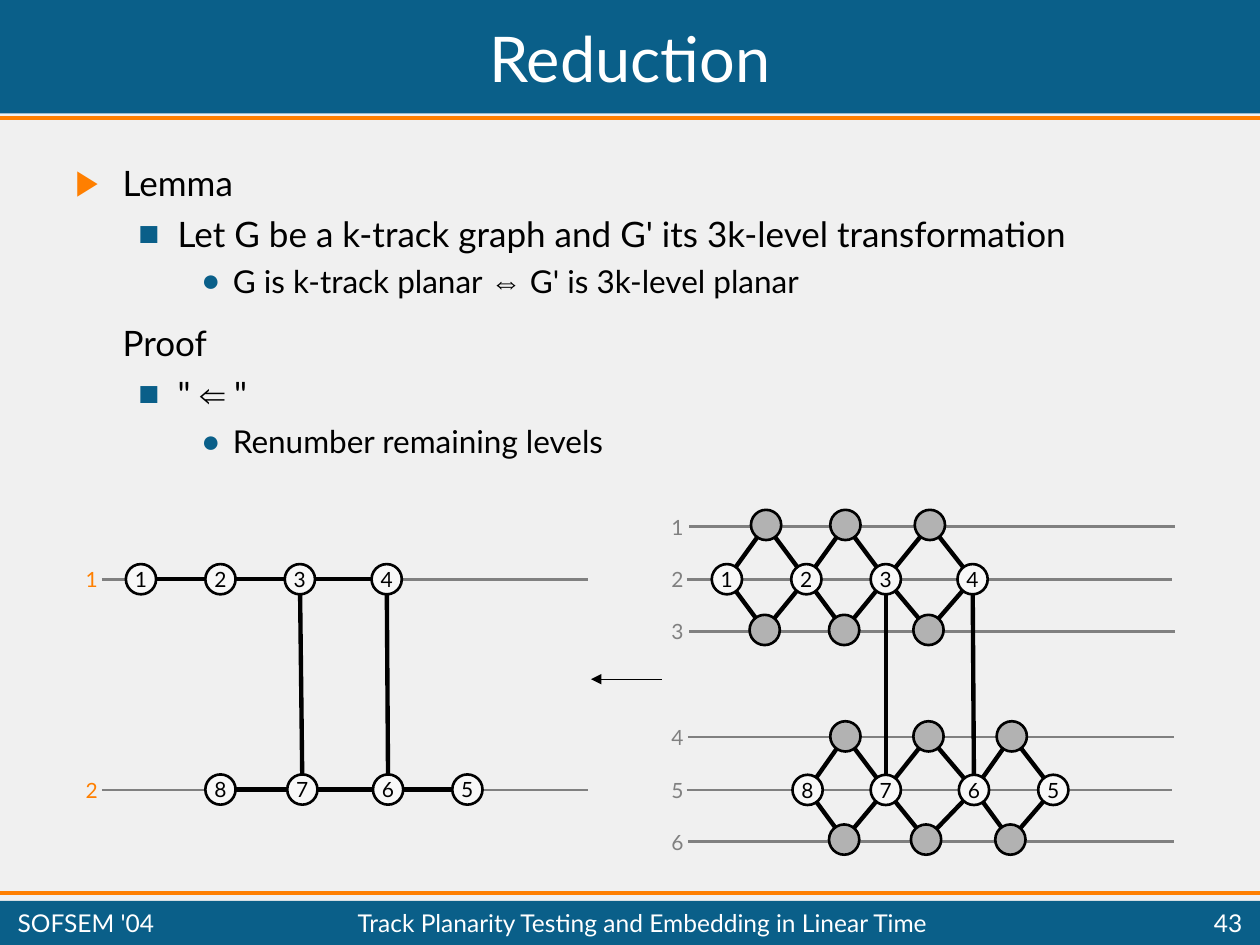
from typing import Dict, List, NamedTuple, Optional, Tuple

from lxml import etree
from pptx import Presentation
from pptx.dml.color import RGBColor
from pptx.enum import shapes, text
from pptx.oxml.ns import qn
from pptx.util import Pt

BLUE = RGBColor(0x0A, 0x5F, 0x89)
ORANGE = RGBColor(0xFF, 0x7F, 0x00)
PAPER = RGBColor(0xF0, 0xF0, 0xF0)
WHITE = RGBColor(0xFF, 0xFF, 0xFF)
BLACK = RGBColor(0x00, 0x00, 0x00)
GRAY = RGBColor(0x80, 0x80, 0x80)
VERTEX = RGBColor(0xF8, 0xF8, 0xF8)
DUMMY = RGBColor(0xB2, 0xB2, 0xB2)

FONT = "Lato"
SYMBOLS = "⇔⇐"
SLIDE_W, SLIDE_H = 720, 540
NODE_D = 17.3
TRACK_LEN = 277.5
LABEL_W, LABEL_H = 21, 21.6


class Item(NamedTuple):
    pieces: Tuple[str, ...]
    level: int
    bullet: Optional[str] = None


class Level(NamedTuple):
    size: float
    margin: float
    hang: float
    before: float
    color: RGBColor


class Track(NamedTuple):
    label: str
    x: float
    y: float


class Row(NamedTuple):
    names: str
    xs: Tuple[float, ...]
    y: float
    dummy: bool = False


class Graph(NamedTuple):
    label_x: float
    label_color: RGBColor
    tracks: List[Track]
    rows: List[Row]
    paths: List[str]


LEVELS = [
    Level(20, 27, 27, 12.5, ORANGE),
    Level(20, 58.5, 22.5, 5, BLUE),
    Level(18, 90, 18, 4.5, BLUE),
]

ITEMS = [
    Item(("Lemma",), 0, "▶"),
    Item(("Let G be a k-track graph and G' its 3k-level transformation",), 1, "■"),
    Item(("G is k-track planar ", "⇔", " G' is 3k-level planar"), 2, "●"),
    Item(("Proof",), 0),
    Item(('" ', "⇐", ' "'), 1, "■"),
    Item(("Renumber remaining levels",), 2, "●"),
]

TRACK_GRAPH = Graph(
    41.8, ORANGE,
    [Track("1", 58.3, 331.2), Track("2", 58.3, 451.4)],
    [Row("1234", (80.6, 126, 171.4, 221), 331),
     Row("8765", (126, 172.8, 221.8, 267.1), 451.2)],
    ["1234", "8765", "37", "46"],
)

LEVEL_GRAPH = Graph(
    376.6, GRAY,
    [Track("1", 393.8, 301), Track("2", 392.4, 331.2), Track("3", 393.8, 360.7),
     Track("4", 393.1, 421.2), Track("5", 392.4, 451.4), Track("6", 393.1, 481)],
    [Row("abc", (437.8, 483.1, 531.4), 300, True),
     Row("1234", (415.4, 460.8, 506.2, 555.8), 331),
     Row("def", (437, 482.4, 530.6), 360, True),
     Row("ghi", (483.1, 530.6, 578.2), 420.8, True),
     Row("8765", (461.5, 506.2, 556.6, 601.9), 451.4),
     Row("jkl", (482.4, 529.2, 577.4), 479.8, True)],
    ["1a2b3c4", "1d2e3f4", "8g7h6i5", "8j7k6l5", "37", "46"],
)


def style(p, size: float, color: RGBColor, align=text.PP_ALIGN.LEFT) -> None:
    p.alignment = align
    for r in p.runs:
        r.font.name = "Arial" if r.text in SYMBOLS else FONT
        r.font.size = Pt(size)
        r.font.color.rgb = color


def add_text(s, content: str, x: float, y: float, w: float, h: float, size: float,
             color: RGBColor, align=text.PP_ALIGN.LEFT, wrap: bool = True) -> None:
    tf = s.shapes.add_textbox(Pt(x), Pt(y), Pt(w), Pt(h)).text_frame
    tf.word_wrap = wrap
    tf.vertical_anchor = text.MSO_ANCHOR.MIDDLE
    tf.text = content
    style(tf.paragraphs[0], size, color, align)


def add_line(s, x1: float, y1: float, x2: float, y2: float, color: RGBColor,
             width: float, arrow: bool = False) -> None:
    c = s.shapes.add_connector(shapes.MSO_CONNECTOR.STRAIGHT, Pt(x1), Pt(y1), Pt(x2), Pt(y2))
    c.line.color.rgb = color
    c.line.width = Pt(width)
    if arrow:
        etree.SubElement(c.line._get_or_add_ln(), qn("a:tailEnd"), type="triangle")
    etree.SubElement(c._element.spPr, qn("a:effectLst"))


def add_bar(s, y: float, h: float) -> None:
    sp = s.shapes.add_shape(shapes.MSO_SHAPE.RECTANGLE, Pt(0), Pt(y), Pt(SLIDE_W), Pt(h))
    sp.shadow.inherit = False
    sp.fill.solid()
    sp.fill.fore_color.rgb = BLUE
    sp.line.fill.background()


def add_node(s, name: str, x: float, y: float, dummy: bool) -> None:
    sp = s.shapes.add_shape(shapes.MSO_SHAPE.OVAL, Pt(x - NODE_D / 2), Pt(y - NODE_D / 2),
                            Pt(NODE_D), Pt(NODE_D))
    sp.shadow.inherit = False
    sp.fill.solid()
    sp.fill.fore_color.rgb = DUMMY if dummy else VERTEX
    sp.line.color.rgb = BLACK
    sp.line.width = Pt(1.5)
    if not dummy:
        tf = sp.text_frame
        tf.word_wrap = False
        tf.vertical_anchor = text.MSO_ANCHOR.MIDDLE
        tf.text = name
        style(tf.paragraphs[0], 12, BLACK, text.PP_ALIGN.CENTER)


def add_graph(s, g: Graph) -> None:
    for t in g.tracks:
        add_line(s, t.x, t.y, t.x + TRACK_LEN, t.y, GRAY, 1.5)
        add_text(s, t.label, g.label_x, t.y - LABEL_H / 2, LABEL_W, LABEL_H, 12,
                 g.label_color, wrap=False)
    at: Dict[str, Tuple[float, float]] = {
        name: (x, row.y) for row in g.rows for name, x in zip(row.names, row.xs)}
    for path in g.paths:
        for a, b in zip(path, path[1:]):
            add_line(s, *at[a], *at[b], BLACK, 2.5)
    for row in g.rows:
        for name in row.names:
            add_node(s, name, *at[name], row.dummy)


def add_body(s, items: List[Item]) -> None:
    tf = s.shapes.add_textbox(Pt(36), Pt(88.6), Pt(648), Pt(181.4)).text_frame
    tf.word_wrap = True
    for i, item in enumerate(items):
        lv = LEVELS[item.level]
        p = tf.paragraphs[0] if i == 0 else tf.add_paragraph()
        p.level = item.level
        p.space_before = Pt(lv.before)
        for piece in item.pieces:
            p.add_run().text = piece
        style(p, lv.size, BLACK)
        pPr = p._p.get_or_add_pPr()
        pPr.set("marL", str(Pt(lv.margin)))
        pPr.set("indent", str(Pt(-lv.hang) if item.bullet else 0))
        if item.bullet:
            clr = etree.SubElement(pPr, qn("a:buClr"))
            etree.SubElement(clr, qn("a:srgbClr"), val=str(lv.color))
            etree.SubElement(pPr, qn("a:buFont"), typeface="Arial")
            etree.SubElement(pPr, qn("a:buChar"), char=item.bullet)


def main() -> None:
    prs = Presentation()
    prs.slide_width, prs.slide_height = Pt(SLIDE_W), Pt(SLIDE_H)
    s = prs.slides.add_slide(prs.slide_layouts[6])
    s.background.fill.solid()
    s.background.fill.fore_color.rgb = PAPER
    add_bar(s, 0, 64.8)
    add_bar(s, 514.8, 25.2)
    for y in (67.7, 510.5):
        add_line(s, 0, y, SLIDE_W, y, ORANGE, 2.25)
    add_text(s, "Reduction", 3, 3, 714, 60, 36, WHITE, text.PP_ALIGN.CENTER)
    add_body(s, ITEMS)
    add_line(s, 378, 388.1, 337.7, 388.1, BLACK, 0.75, arrow=True)
    add_graph(s, TRACK_GRAPH)
    add_graph(s, LEVEL_GRAPH)
    for content, x, w, align in (
            ("SOFSEM '04", 3, 103.5, text.PP_ALIGN.LEFT),
            ("Track Planarity Testing and Embedding in Linear Time", 108, 518.4,
             text.PP_ALIGN.CENTER),
            ("43", 632, 85, text.PP_ALIGN.RIGHT)):
        add_text(s, content, x, 517.5, w, 20, 14, WHITE, align)
    prs.save("out.pptx")


if __name__ == "__main__":
    main()
